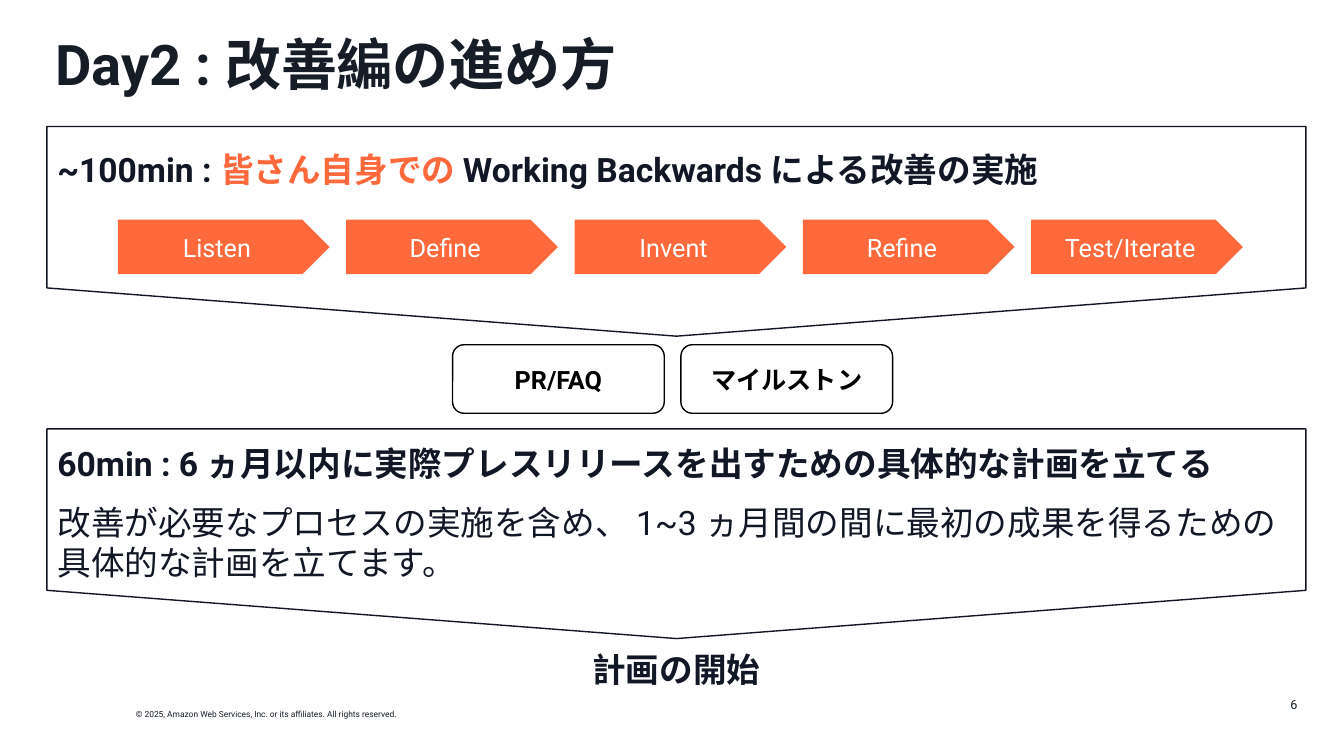
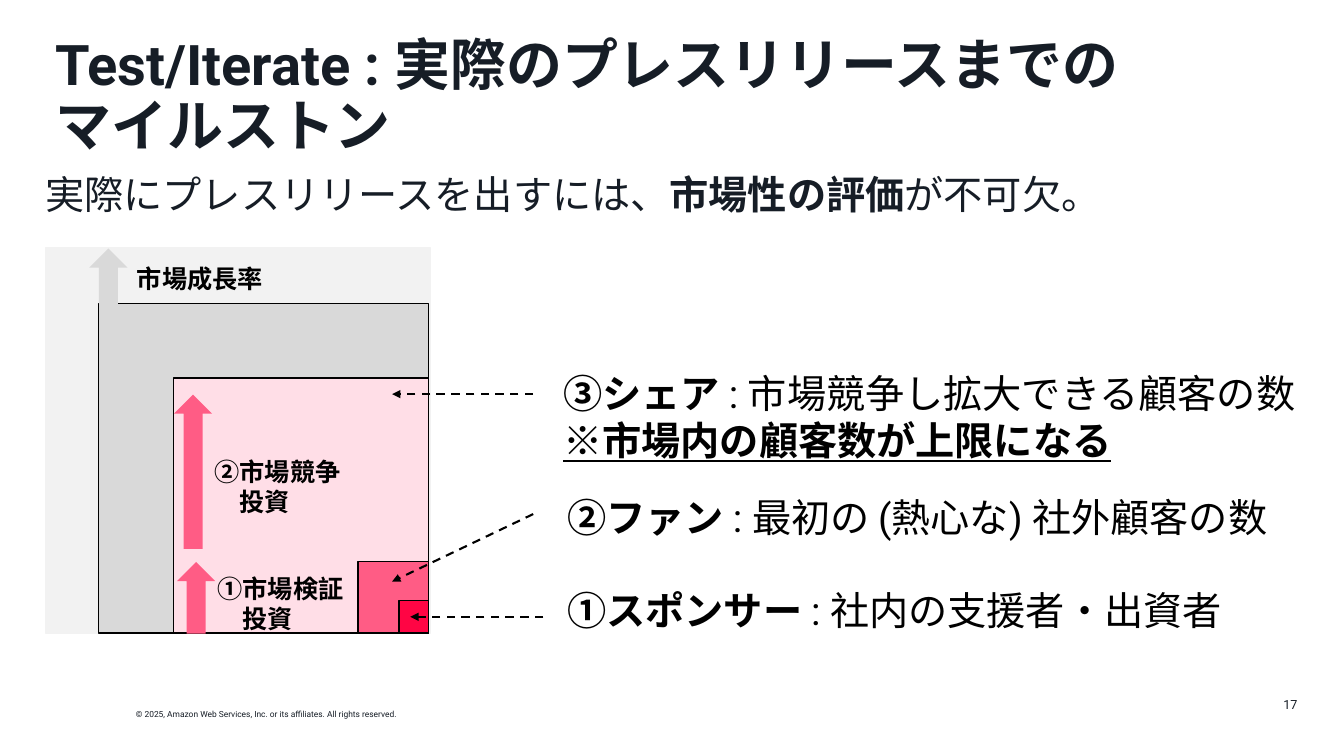
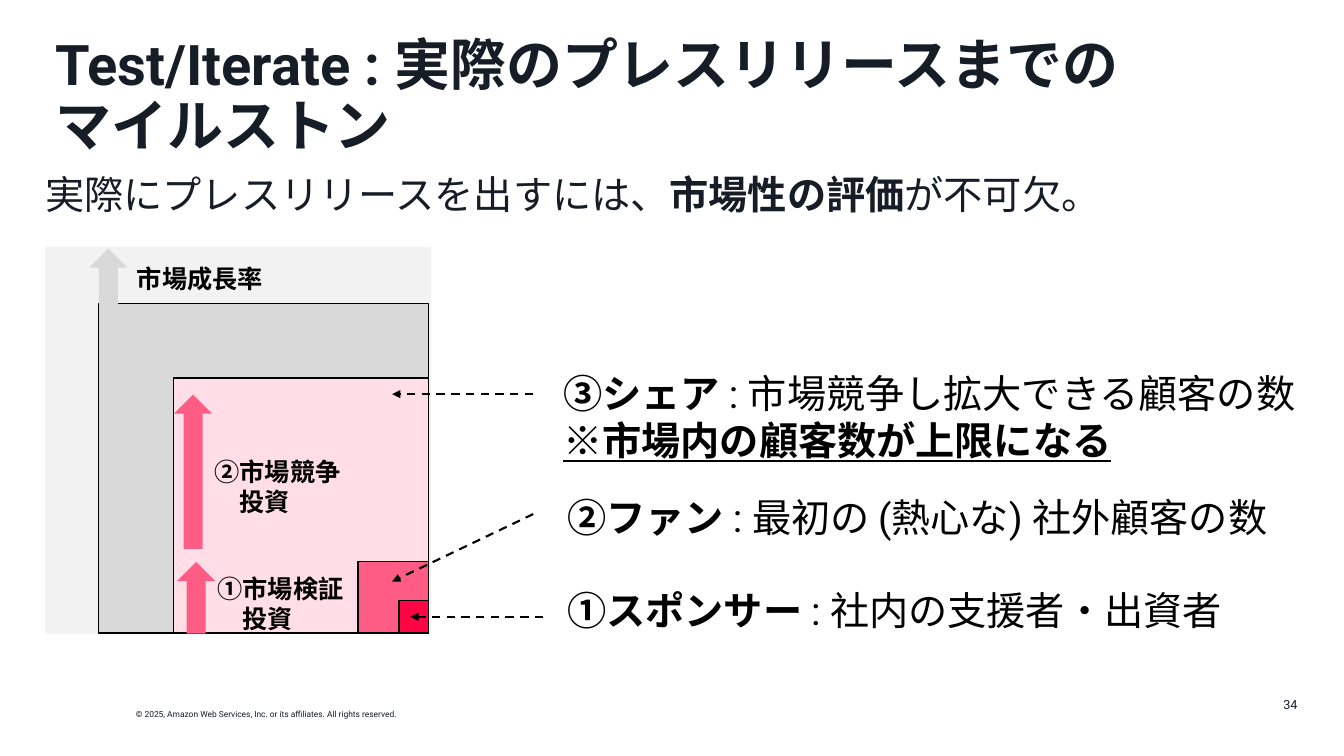
from lxml import etree
from pptx import Presentation
from pptx.dml.color import RGBColor
from pptx.enum.dml import MSO_LINE
from pptx.enum.shapes import MSO_CONNECTOR, MSO_SHAPE
from pptx.enum.text import MSO_ANCHOR, MSO_AUTO_SIZE, PP_ALIGN
from pptx.oxml.ns import qn
from pptx.util import Inches, Pt

RECT, ROUNDED = MSO_SHAPE.RECTANGLE, MSO_SHAPE.ROUNDED_RECTANGLE
PENTAGON, LEFT_ARROW = MSO_SHAPE.PENTAGON, MSO_SHAPE.LEFT_ARROW
CENTER, RIGHT = PP_ALIGN.CENTER, PP_ALIGN.RIGHT
TOP, MIDDLE = MSO_ANCHOR.TOP, MSO_ANCHOR.MIDDLE
GROW, FIXED = MSO_AUTO_SIZE.SHAPE_TO_FIT_TEXT, MSO_AUTO_SIZE.NONE
STRAIGHT, DASH = MSO_CONNECTOR.STRAIGHT, MSO_LINE.DASH

FONT = "Roboto"
COLORS = {
    "title": "161D26", "ink": "111724", "black": "000000", "white": "FFFFFF",
    "orange": "FF693C", "backdrop": "F2F2F2", "market": "D9D9D9",
    "share": "FFDEE7", "fan": "FF5C85", "sponsor": "FF0544",
}
COLUMNS, ROWS = 133.33, 75  # square grid cells
CELL = Inches(0.1)
FLUSH = {"margin_left": 0, "margin_right": 0}
BOLD, PLAIN = {"bold": True}, {"bold": False}
COPYRIGHT = "© 2025, Amazon Web Services, Inc. or its affiliates. All rights reserved."


def cells(*counts):
    return [round(count * CELL) for count in counts]


def rgb(name):
    return RGBColor.from_string(COLORS[name])


def apply(target, values):
    for name, value in values.items():
        setattr(target, name, value)


class Deck:
    """Holds the style and the current slide; boxes are (column, row, columns, rows)."""

    def __init__(self):
        self.file = Presentation()
        self.file.slide_width, self.file.slide_height = cells(COLUMNS, ROWS)
        self.slide = None

    def new_slide(self, number, title):
        self.slide = self.file.slides.add_slide(self.file.slide_layouts[6])
        self.text((12.5, 69.9, 28.7, 2), [[(COPYRIGHT, {})]], 6, "title",
                  frame={"word_wrap": False})
        self.text((99.7, 67.9, 30, 4), [[(str(number), {})]], 9, "title",
                  frame={"vertical_anchor": MIDDLE, "auto_size": FIXED},
                  layout={"alignment": RIGHT})
        self.text((4.5, 3.2, 125.2, 6.8), [[(title, BOLD)]], 40, "title",
                  frame={"auto_size": FIXED}, layout={"line_spacing": 0.9})

    def fill_frame(self, frame, paragraphs, size, color, layout):
        """Fill a frame; each paragraph is a list of (text, font values) runs."""
        for index, runs in enumerate(paragraphs):
            paragraph = frame.paragraphs[0] if index == 0 else frame.add_paragraph()
            apply(paragraph, layout)
            for text, values in runs:
                for line_number, line in enumerate(text.split("\n")):
                    if line_number:
                        paragraph.add_line_break()
                    run = paragraph.add_run()
                    run.text = line
                    style = {"name": FONT, "size": Pt(size), "color": color, **values}
                    run.font.color.rgb = rgb(style.pop("color"))
                    apply(run.font, style)

    def text(self, box, paragraphs, size, color="black", frame={}, layout={}):
        text_frame = self.slide.shapes.add_textbox(*cells(*box)).text_frame
        apply(text_frame, {"word_wrap": True, "auto_size": GROW,
                           "vertical_anchor": TOP, **frame})
        self.fill_frame(text_frame, paragraphs, size, color, layout)

    def shape(self, kind, box, fill=None, line=None):
        shape = self.slide.shapes.add_shape(kind, *cells(*box))
        shape.shadow.inherit = False
        if fill:
            shape.fill.solid()
            shape.fill.fore_color.rgb = rgb(fill)
        else:
            shape.fill.background()
        if line:
            shape.line.color.rgb = rgb(line)
            shape.line.width = Pt(1)
        else:
            shape.line.fill.background()
        return shape

    def label(self, kind, box, text, color, fill, line=None, font={}):
        frame = self.shape(kind, box, fill, line).text_frame
        apply(frame, {"word_wrap": True, "vertical_anchor": MIDDLE})
        self.fill_frame(frame, [[(text, font)]], 18, color, {"alignment": CENTER})

    def turned(self, kind, box, fill=None, line=None):
        """Add a shape turned a quarter clockwise so that it covers the box as seen."""
        left, top, width, height = box
        shift = (width - height) / 2
        shape = self.shape(kind, (left + shift, top - shift, height, width), fill, line)
        shape.rotation = 90
        return shape

    def dashed_arrow(self, start, end):
        arrow = self.slide.shapes.add_connector(STRAIGHT, *cells(*start, *end))
        arrow.line.color.rgb = rgb("black")
        apply(arrow.line, {"width": Pt(1.5), "dash_style": DASH})
        properties = arrow._element.spPr
        etree.SubElement(properties.find(qn("a:ln")), qn("a:tailEnd"), type="triangle")
        etree.SubElement(properties, qn("a:effectLst"))


def agenda_slide(deck):
    deck.new_slide(6, "Day2 : 改善編の進め方")
    for top in (12.55, 42.55):
        panel = deck.turned(PENTAGON, (4.65, top, 124.9, 20.8), line="ink")
        panel.adjustments[0] = 0.23

    step = 22.65
    for index, phase in enumerate(("Listen", "Define", "Invent", "Refine", "Test/Iterate")):
        deck.label(PENTAGON, (11.7 + index * step, 21.8, 21, 5.4), phase, "white", "orange")
    for index, result in enumerate(("PR/FAQ", "マイルストン")):
        deck.label(ROUNDED, (44.9 + index * step, 34.2, 21, 6.8), result,
                   "black", "white", "black", BOLD)

    practice = [("~100min : ", BOLD),
                ("皆さん自身での ", {"bold": True, "color": "orange"}),
                ("Working Backwards による改善の実施", BOLD)]
    planning = [("60min : 6 ヵ月以内に実際プレスリリースを出すための具体的な計画を立てる", BOLD)]
    details = [("改善が必要なプロセスの実施を含め、 1~3 ヵ月間の間に最初の成果を"
                "得るための具体的な計画を立てます。", {})]
    start = [("計画の開始", BOLD)]
    for box, runs, layout in (
        ((5.7, 14.3, 106.6, 5), practice, {}),
        ((5.7, 43.4, 121.9, 5), planning, {}),
        ((5.7, 49.3, 123, 9.1), details, {}),
        ((13.8, 63.9, 106.6, 5), start, {"alignment": CENTER}),
    ):
        deck.text(box, [runs], 24, "ink", FLUSH, layout)


def milestone_slide(deck, number):
    deck.new_slide(number, "Test/Iterate : 実際のプレスリリースまでの\nマイルストン")
    deck.text((4.5, 16.4, 125.2, 5.7),
              [[("実際にプレスリリースを出すには、", {}), ("市場性の評価", BOLD),
                ("が不可欠。", PLAIN)]],
              28, "title", FLUSH, {"space_after": Pt(6)})

    deck.shape(RECT, (4.5, 24.6, 38.2, 38.2), "backdrop", "backdrop")
    right, bottom = 42.5, 62.8
    for layer, width, height in (("market", 32.7, 32.7), ("share", 25.3, 25.3),
                                 ("fan", 7, 7.1), ("sponsor", 2.9, 3.2)):
        deck.shape(RECT, (right - width, bottom - height, width, height), layer, "black")

    for left, top, height, color in ((8.85, 24.65, 5.5, "market"),
                                     (17.25, 39.15, 15.3, "fan"),
                                     (17.55, 55.75, 7.1, "fan")):
        deck.turned(LEFT_ARROW, (left, top, 3.8, height), color)
    for left, top, height, lines in ((12.6, 25.6, 4, ["市場成長率"]),
                                     (20.3, 44.8, 7.1, ["②市場競争", "　投資"]),
                                     (20.6, 56.4, 7.1, ["①市場検証", "　投資"])):
        deck.text((left, top, 20.4, height), [[(line, BOLD)] for line in lines], 18)

    share = [[("③シェア ", BOLD), (": 市場競争し拡大できる顧客の数", PLAIN)],
             [("※市場内の顧客数が上限になる", {"bold": True, "underline": True})]]
    fan = [[("②ファン ", BOLD), (": 最初の (熱心な) 社外顧客の数", PLAIN)]]
    sponsor = [[("①スポンサー ", BOLD), (": 社内の支援者・出資者", PLAIN)]]
    for box, paragraphs in (((54.9, 36.1, 76.9, 10.4), share),
                            ((55.3, 48.4, 76.9, 5.7), fan),
                            ((55.3, 57.7, 73.7, 5.7), sponsor)):
        deck.text(box, paragraphs, 28)
    for start, end in (((52.9, 39.1), (38.9, 39.1)),
                       ((52.9, 51), (38.9, 57.7)),
                       ((53.9, 61.2), (40.7, 61.2))):
        deck.dashed_arrow(start, end)


def main():
    deck = Deck()
    agenda_slide(deck)
    for number in (17, 34):
        milestone_slide(deck, number)
    deck.file.save("out.pptx")


if __name__ == "__main__":
    main()
